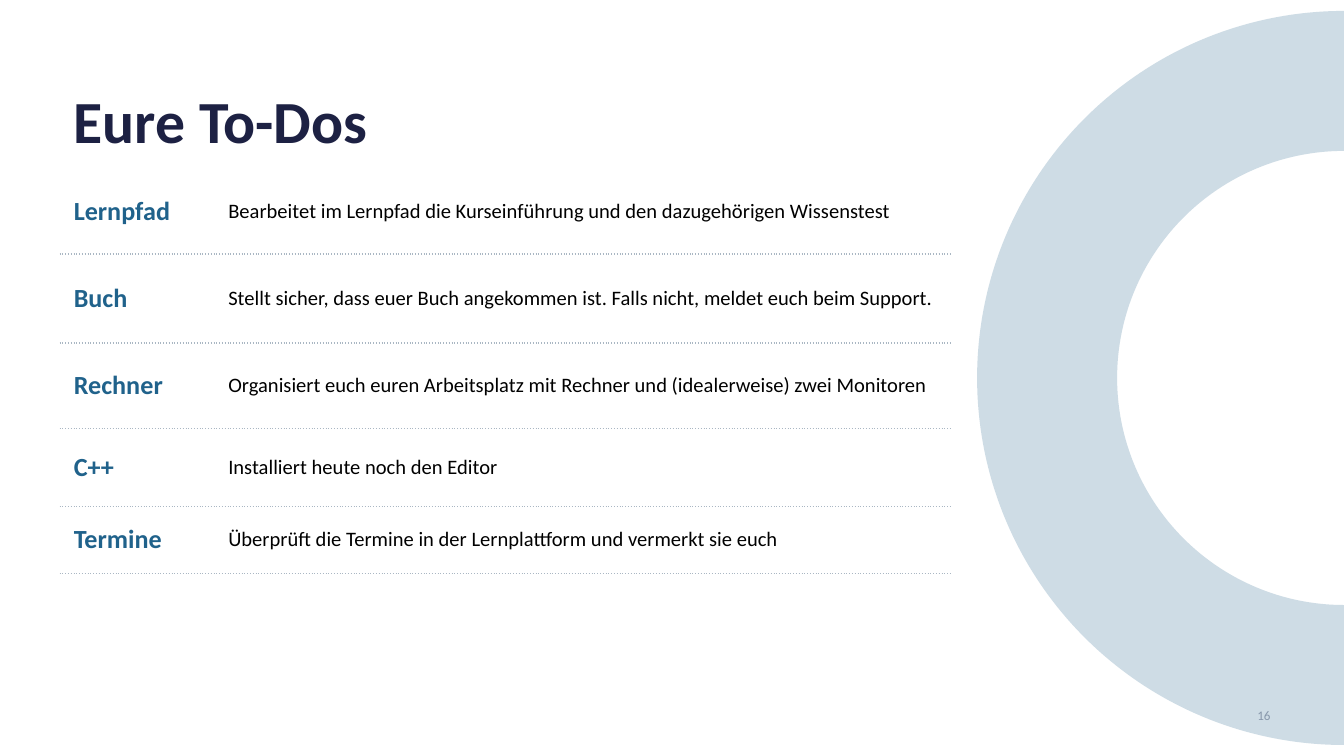
import lxml.etree
import pptx
import pptx.dml.color
import pptx.enum.shapes
import pptx.enum.text
import pptx.oxml
import pptx.oxml.ns
import pptx.util

Cm = pptx.util.Cm
Pt = pptx.util.Pt
RGBColor = pptx.dml.color.RGBColor
MIDDLE = pptx.enum.text.MSO_ANCHOR.MIDDLE

NAVY = RGBColor(0x1D, 0x21, 0x43)
BLUE = RGBColor(0x20, 0x62, 0x8B)
RULE_GREY = RGBColor(0xAA, 0xB7, 0xC3)
BLACK = RGBColor(0, 0, 0)
WHITE = RGBColor(0xFF, 0xFF, 0xFF)

TITLE_FONT = {"name": "Calibri", "size": Pt(32), "bold": True, "color": NAVY}
TOPIC_FONT = {"name": "Calibri", "size": Pt(14), "bold": True, "color": BLUE}
TASK_FONT = {"name": "Calibri", "size": Pt(11), "bold": False, "color": BLACK}
NUMBER_FONT = {"name": "Calibri", "size": Pt(7), "bold": False, "color": NAVY}

TODOS = [
    ("Lernpfad", "Bearbeitet im Lernpfad die Kurseinführung und den dazugehörigen Wissenstest", 1.62),
    ("Buch", "Stellt sicher, dass euer Buch angekommen ist. Falls nicht, meldet euch beim Support.", 1.68),
    ("Rechner", "Organisiert euch euren Arbeitsplatz mit Rechner und (idealerweise) zwei Monitoren", 1.62),
    ("C++", "Installiert heute noch den Editor", 1.47),
    ("Termine", "Überprüft die Termine in der Lernplattform und vermerkt sie euch", 1.27),
]


def write(frame, text, font, **paragraph_format):
    """Fill a text frame with one formatted paragraph and return its run."""
    paragraph = frame.paragraphs[0]
    for key, value in paragraph_format.items():
        setattr(paragraph, key, value)
    run = paragraph.add_run()
    run.text = text
    for key, value in font.items():
        if key == "color":
            run.font.color.rgb = value
        else:
            setattr(run.font, key, value)
    return run


def set_opacity(element, percent):
    """Give every solid colour below an element the same opacity."""
    for color in element.iter(pptx.oxml.ns.qn("a:srgbClr")):
        alpha = lxml.etree.SubElement(color, pptx.oxml.ns.qn("a:alpha"))
        alpha.set("val", str(percent * 1000))


def add_rule(cell, edge):
    """Draw a dotted rule along one edge of a cell."""
    rule = pptx.oxml.parse_xml(
        f'<a:{edge} {pptx.oxml.ns.nsdecls("a")} w="{Pt(1)}">'
        f'<a:solidFill><a:srgbClr val="{RULE_GREY}"/></a:solidFill>'
        f'<a:prstDash val="sysDot"/></a:{edge}>'
    )
    cell._tc.get_or_add_tcPr().insert(0, rule)


def add_page_number(slide, left, top, width, height):
    """Place the faint page number."""
    frame = slide.shapes.add_textbox(left, top, width, height).text_frame
    frame.word_wrap = True
    frame.vertical_anchor = MIDDLE
    run = write(frame, "16", NUMBER_FONT, line_spacing=0.9,
                alignment=pptx.enum.text.PP_ALIGN.RIGHT)
    set_opacity(run._r, 40)


def add_ring(slide, left, top, diameter):
    """Place the large translucent ring."""
    ring = slide.shapes.add_shape(
        pptx.enum.shapes.MSO_SHAPE.FLOWCHART_CONNECTOR, left, top, diameter, diameter)
    ring.shadow.inherit = False
    ring.fill.solid()
    ring.fill.fore_color.rgb = WHITE
    ring.line.color.rgb = BLUE
    ring.line.width = Pt(75)
    set_opacity(ring._element.spPr, 21)


def place_title(slide, left, top, width, height):
    """Move and format the slide title."""
    title = slide.shapes.title
    box = {"left": left, "top": top, "width": width, "height": height}
    for key, value in box.items():
        setattr(title, key, value)
    frame = title.text_frame
    frame.word_wrap = True
    frame.vertical_anchor = MIDDLE
    write(frame, "Eure To-Dos", TITLE_FONT, line_spacing=0.9,
          alignment=pptx.enum.text.PP_ALIGN.LEFT)


def add_todo_table(slide, left, top, width, height):
    """Place the topics and tasks with a dotted rule below each row."""
    table = slide.shapes.add_table(len(TODOS), 2, left, top, width, height).table
    table.first_row = False
    table.horz_banding = False
    topic_width = Cm(2.92)
    table.columns[0].width = topic_width
    table.columns[1].width = width - topic_width
    for index, (topic, task, row_height) in enumerate(TODOS):
        table.rows[index].height = Cm(row_height)
        topic_cell, task_cell = table.rows[index].cells
        write(topic_cell.text_frame, topic, TOPIC_FONT)
        write(task_cell.text_frame, task, TASK_FONT, space_before=Pt(6))
        for cell in (topic_cell, task_cell):
            cell.vertical_anchor = MIDDLE
            cell.fill.background()
            add_rule(cell, "lnB")
            if index:
                add_rule(cell, "lnT")


def main():
    """Build and save the to-do slide."""
    deck = pptx.Presentation()
    deck.slide_width = Cm(25.4)
    deck.slide_height = Cm(14.29)
    slide = deck.slides.add_slide(deck.slide_layouts[5])
    add_page_number(slide, Cm(19.51), Cm(13.19), Cm(4.75), Cm(0.69))
    add_ring(slide, Cm(19.79), Cm(1.53), Cm(11.23))
    place_title(slide, Cm(1.14), Cm(1.56), Cm(15.85), Cm(1.57))
    add_todo_table(slide, Cm(1.14), Cm(3.18), Cm(16.8), Cm(7.66))
    deck.save("out.pptx")


if __name__ == "__main__":
    main()
